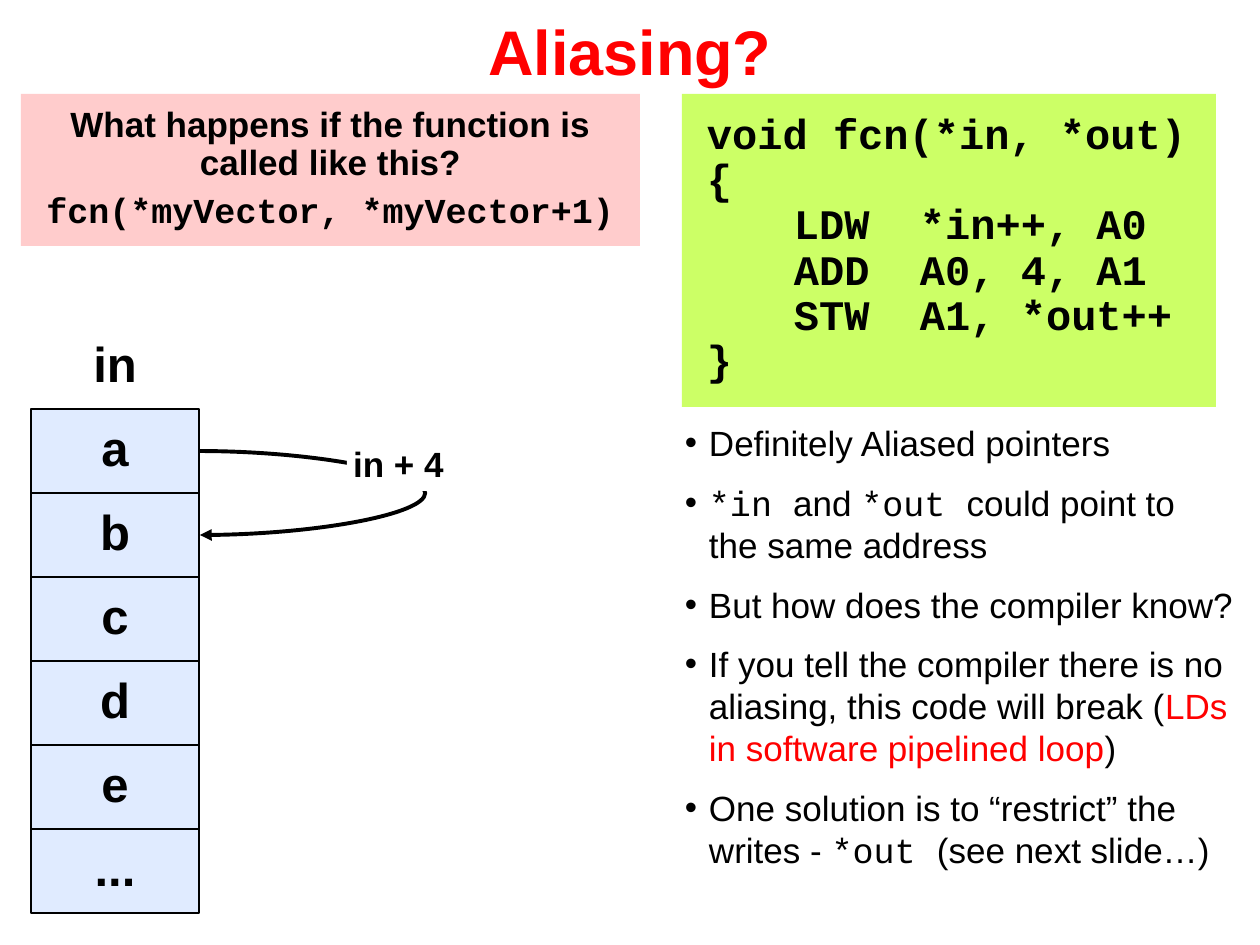
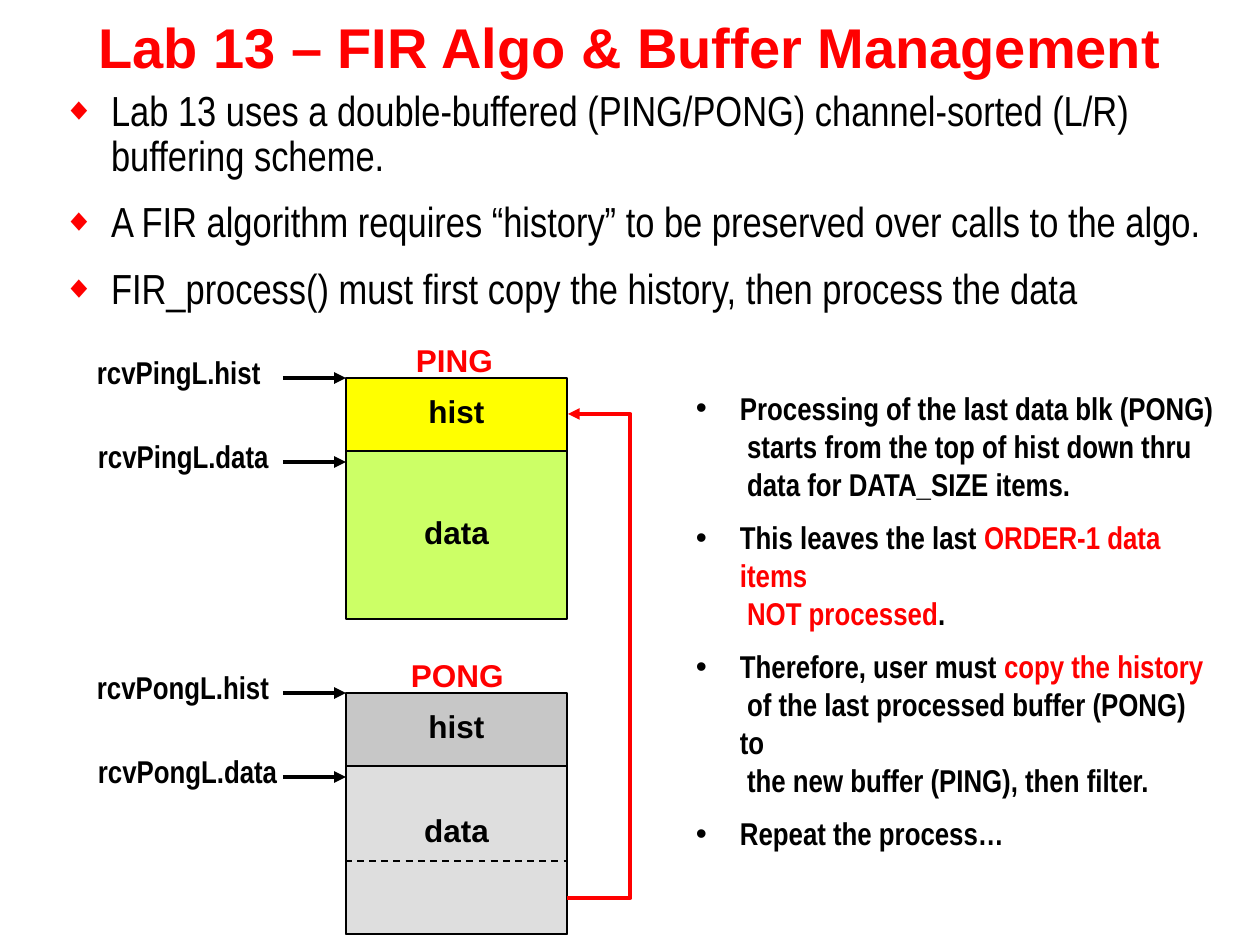
from lxml.etree import SubElement
from pptx import Presentation
from pptx.dml.color import RGBColor
from pptx.enum.dml import MSO_LINE
from pptx.enum.shapes import MSO_CONNECTOR, MSO_SHAPE
from pptx.enum.text import MSO_ANCHOR, PP_ALIGN
from pptx.oxml.ns import qn
from pptx.util import Pt

PX = 914400 / 126
INK = {
    "black": "000000", "red": "FF0000", "white": "FFFFFF", "pink": "FFCCCC",
    "lime": "CCFF66", "blue": "E0EBFF", "yellow": "FFFF00",
    "gray": "C7C7C7", "pale": "DEDEDE",
}
SANS, THIN, MONO = "Arial", "Arial Narrow", "Courier New"

# A paragraph is a list of runs: (text, changes to the base style)
CALL = [
    [("What happens if the function is called like this?", {})],
    [("fcn(*myVector, *myVector+1)", {"font": MONO})],
]
CODE = [
    [("void fcn(*in, *out)", {})],
    [("{", {})],
    [("\t\tLDW\t*in++, A0\n\t\tADD\tA0, 4, A1\n\t\tSTW\tA1, *out++", {})],
    [("}", {})],
]
NOTES = [
    [("Definitely Aliased pointers", {})],
    [("*in ", {"font": MONO}), ("and ", {}), ("*out ", {"font": MONO}),
     ("could point to\nthe same address", {})],
    [("But how does the compiler know?", {})],
    [("If you tell the compiler there is no\naliasing, this code will break (", {}),
     ("LDs\nin software pipelined loop", {"ink": "red"}), (")", {})],
    [("One solution is to “restrict” the\nwrites - ", {}),
     ("*out ", {"font": MONO}), ("(see next slide…)", {})],
]
CELLS = ["a", "b", "c", "d", "e", "..."]

INTRO = [
    [("Lab 13 uses a double-buffered (PING/PONG) channel-sorted (L/R) "
      "buffering scheme.", {})],
    [("A FIR algorithm requires “history” to be preserved over calls to the algo.", {})],
    [("FIR_process() must first copy the history, then process the data", {})],
]
STEPS = [
    [("Processing of the last data blk (PONG)\n starts from the top of hist down thru"
      "\n data for DATA_SIZE items.", {})],
    [("This leaves the last ", {}),
     ("ORDER-1 data items\n NOT processed", {"ink": "red"}), (".", {})],
    [("Therefore, user must ", {}), ("copy the history\n", {"ink": "red"}),
     (" of the last processed buffer (PONG) to\n the new buffer (PING), then filter.", {})],
    [("Repeat the process…", {})],
]
# name, name's left, pointer stem, hist fill, data fill, room under "data"
BUFS = [
    ("PING", 403, "rcvPingL", "yellow", "lime", 6),
    ("PONG", 398, "rcvPongL", "gray", "pale", 40),
]


def px(n):
    return round(n * PX)


def rgb(ink):
    return RGBColor.from_string(INK[ink])


def write(shape, paras, size, font=SANS, ink="black", bold=True, align=PP_ALIGN.LEFT,
          lead=None, gap=0, inset=(13, 6, 13, 6), mid=False, wrap=True,
          mark=None, hang=0, tabs=()):
    """Fill a shape with paragraphs; mark is (sign, ink, percent of text size)."""
    frame = shape.text_frame
    frame.word_wrap = wrap
    frame.vertical_anchor = MSO_ANCHOR.MIDDLE if mid else MSO_ANCHOR.TOP
    (frame.margin_left, frame.margin_top,
     frame.margin_right, frame.margin_bottom) = map(px, inset)
    for i, runs in enumerate(paras):
        para = frame.paragraphs[0] if i == 0 else frame.add_paragraph()
        para.alignment = align
        para.space_before = Pt(gap)
        if lead:
            para.line_spacing = lead
        props = para._p.get_or_add_pPr()
        if mark:
            sign, tint, part = mark
            props.set("marL", str(px(hang)))
            props.set("indent", str(-px(hang)))
            SubElement(SubElement(props, qn("a:buClr")), qn("a:srgbClr"), val=INK[tint])
            SubElement(props, qn("a:buSzPct"), val=str(part * 1000))
            SubElement(props, qn("a:buFont"), typeface=SANS)
            SubElement(props, qn("a:buChar"), char=sign)
        if tabs:
            stops = SubElement(props, qn("a:tabLst"))
            for pos in tabs:
                SubElement(stops, qn("a:tab"), pos=str(px(pos)), algn="l")
        for words, style in runs:
            for j, line in enumerate(words.split("\n")):
                if j:
                    para.add_line_break()
                if not line:
                    continue
                run = para.add_run()
                run.text = line
                run.font.size = Pt(size)
                run.font.bold = bold
                run.font.name = style.get("font", font)
                run.font.color.rgb = rgb(style.get("ink", ink))


def label(slide, box, paras, size, **style):
    if isinstance(paras, str):
        paras = [[(paras, {})]]
    write(slide.shapes.add_textbox(*map(px, box)), paras, size, **style)


def block(slide, box, fill=None, edge=False):
    shape = slide.shapes.add_shape(MSO_SHAPE.RECTANGLE, *map(px, box))
    shape.shadow.inherit = False
    if fill:
        shape.fill.solid()
        shape.fill.fore_color.rgb = rgb(fill)
    else:
        shape.fill.background()
    if edge:
        shape.line.color.rgb = rgb("black")
        shape.line.width = Pt(1)
    else:
        shape.line.fill.background()
    return shape


def arrow(slide, kind, ends, ink="black", bulge=None):
    """Draw an arrow; bulge is how far a bent or curved one swings right, in px."""
    line = slide.shapes.add_connector(kind, *map(px, ends))
    line.line.color.rgb = rgb(ink)
    line.line.width = Pt(2.25)
    props = line._element.spPr
    SubElement(props.find(qn("a:ln")), qn("a:tailEnd"), type="triangle")
    SubElement(props, qn("a:effectLst"))
    if bulge:
        geom = props.find(qn("a:prstGeom"))
        guides = geom.find(qn("a:avLst"))
        if guides is None:
            guides = SubElement(geom, qn("a:avLst"))
        share = round(bulge / (ends[2] - ends[0]) * 100000)
        SubElement(guides, qn("a:gd"), name="adj1", fmla=f"val {share}")


def start(deck, title, size):
    slide = deck.slides.add_slide(deck.slide_layouts[6])
    label(slide, (0, 0, 1260, 102), title, size, ink="red",
          align=PP_ALIGN.CENTER, inset=(13, 13, 13, 6))
    return slide


def alias(deck):
    slide = start(deck, "Aliasing?", 36)
    left, top, wide, high = 31, 409, 168, 84
    edge, half = left + wide, high // 2
    mid = {"align": PP_ALIGN.CENTER, "lead": 0.9, "mid": True}

    arrow(slide, MSO_CONNECTOR.CURVE,
          (edge, top + half, edge + 1, top + high + half), bulge=228)
    write(block(slide, (347, 441, 103, 50), "white"), [[("in + 4", {})]], 20,
          inset=(6, 6, 6, 6), **mid)
    for i, name in enumerate(CELLS):
        cell = block(slide, (left, top + i * high, wide, high), "blue", True)
        write(cell, [[(name, {})]], 28, wrap=False, **mid)
    label(slide, (left, top - high, wide, high), "in", 28, **mid)

    write(block(slide, (21, 94, 619, 152), "pink"), CALL, 20, gap=6, lead=0.9,
          align=PP_ALIGN.CENTER, inset=(6, 13, 6, 13))
    write(block(slide, (682, 94, 534, 313), "lime"), CODE, 24, font=MONO, lead=0.9,
          inset=(25, 19, 25, 19), tabs=(30, 87, 213))
    label(slide, (672, 416, 580, 479), NOTES, 20, bold=False, gap=10,
          mark=("•", "black", 100), hang=24)


def lab(deck):
    slide = start(deck, "Lab 13 – FIR Algo & Buffer Management", 32)
    label(slide, (50, 84, 1178, 247), INTRO, 24, font=THIN, bold=False, lead=0.9,
          gap=12, mark=("◆", "red", 75), hang=48)
    label(slide, (683, 383, 544, 411), STEPS, 18, font=THIN, gap=9,
          mark=("•", "black", 100), hang=44)

    left, wide, hist, data = 346, 221, 73, 168
    first, step = 378, 315
    mid = {"align": PP_ALIGN.CENTER, "lead": 0.8, "mid": True}
    for i, (name, x, stem, dark, light, room) in enumerate(BUFS):
        top = first + i * step
        label(slide, (x, top - 36, 130, 43), name, 18, ink="red", lead=0.8)
        write(block(slide, (left, top + hist, wide, data), light, True),
              [[("data", {})]], 18, inset=(13, 6, 13, room), **mid)
        write(block(slide, (left, top, wide, hist), dark, True),
              [[("hist", {})]], 18, **mid)
        for j, part in enumerate(("hist", "data")):
            y = top + j * 84
            label(slide, (84 + j, y - 24, 212, 43), f"{stem}.{part}", 18,
                  font=THIN, lead=0.8)
            arrow(slide, MSO_CONNECTOR.STRAIGHT, (283, y, left, y))

    end = first + step + hist + data
    tail = block(slide, (left, end - hist, wide, hist), edge=True)
    tail.line.dash_style = MSO_LINE.DASH
    edge, half = left + wide, hist // 2
    arrow(slide, MSO_CONNECTOR.ELBOW, (edge, end - half, edge + 1, first + half),
          "red", bulge=64)


def main():
    deck = Presentation()
    deck.slide_width, deck.slide_height = px(1260), px(945)
    alias(deck)
    lab(deck)
    deck.save("out.pptx")


if __name__ == "__main__":
    main()
